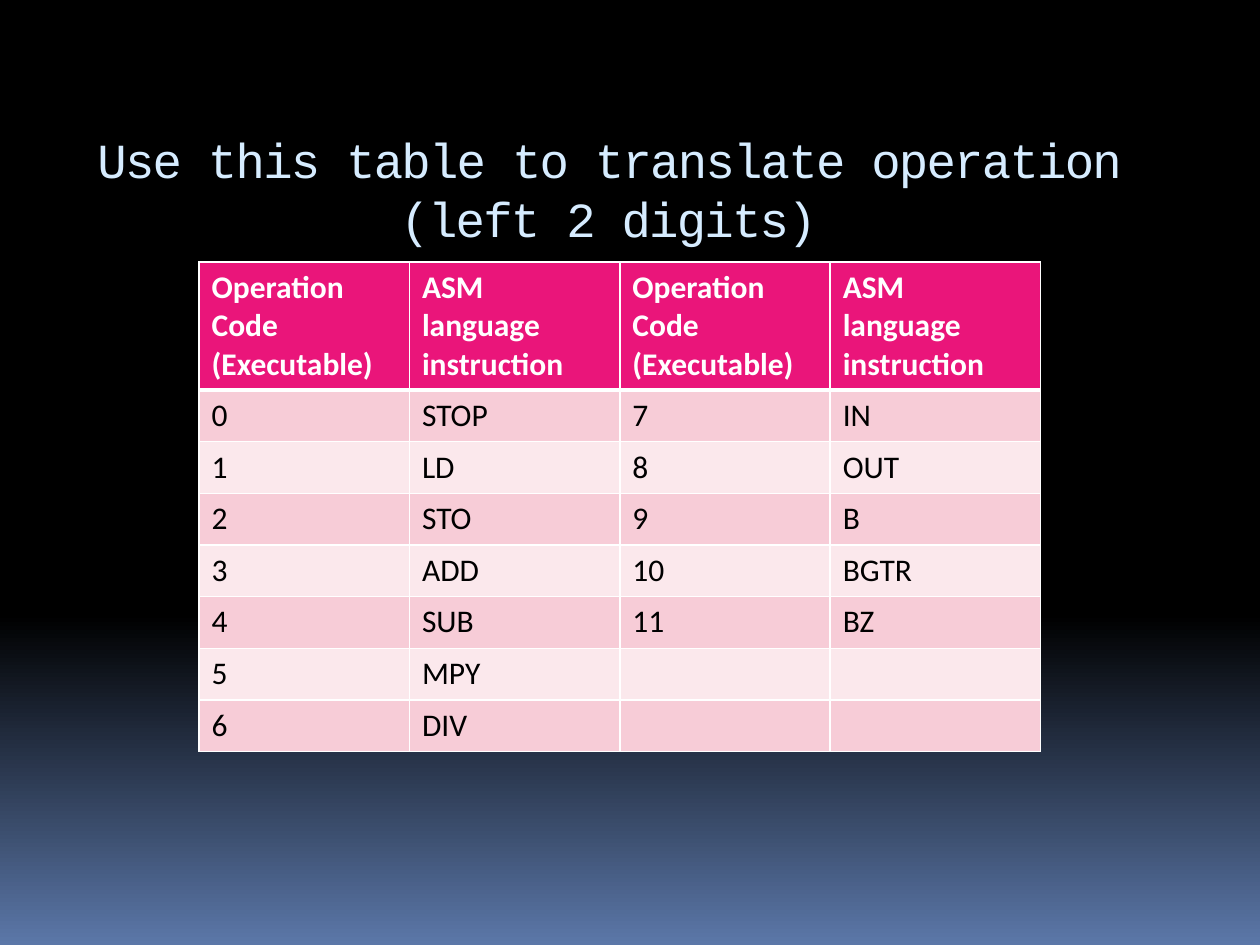
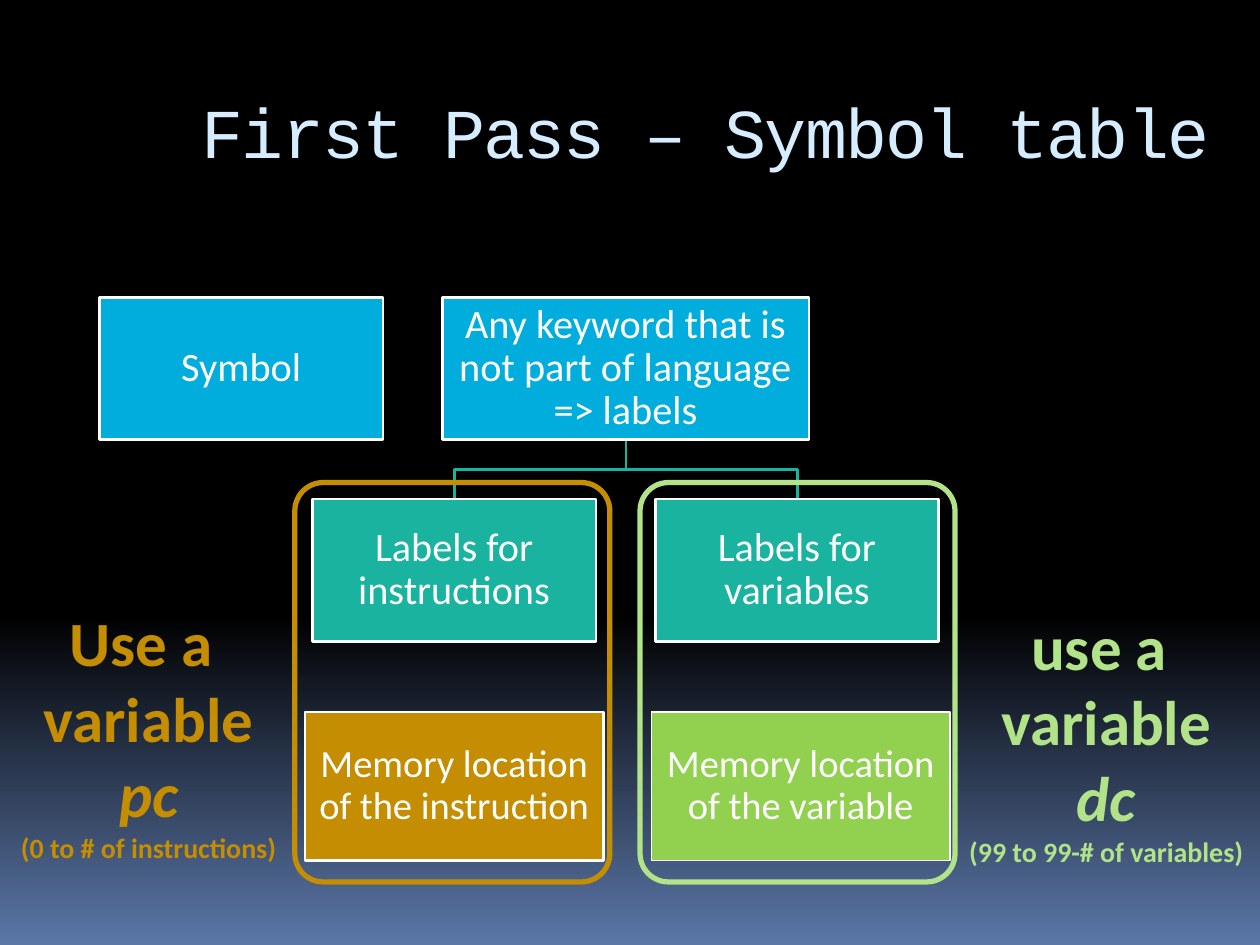
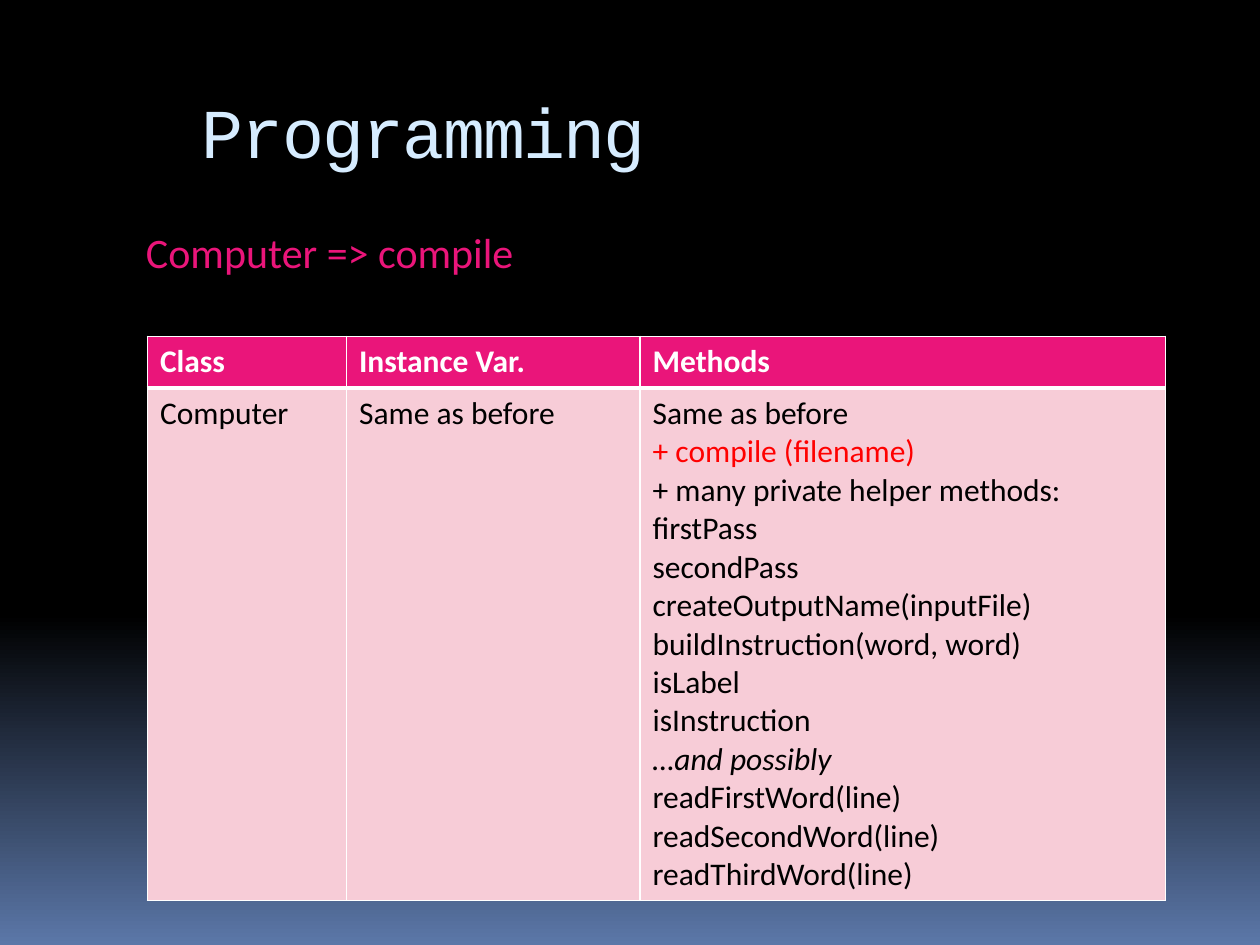
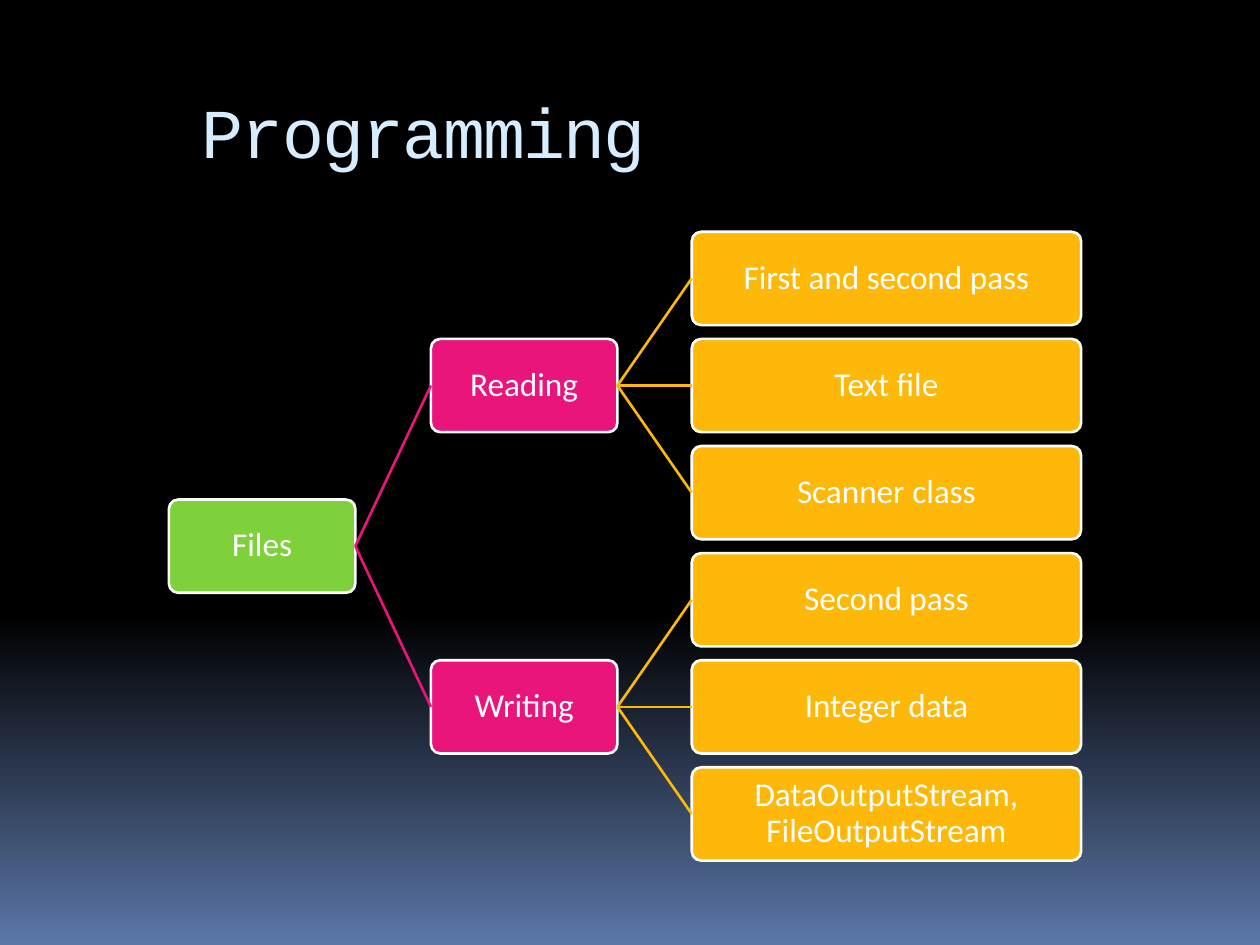
from copy import deepcopy
from dataclasses import dataclass
from typing import Any

from lxml.etree import SubElement
from pptx import Presentation
from pptx.dml.color import RGBColor
from pptx.enum.shapes import MSO_CONNECTOR, MSO_SHAPE as SHAPE
from pptx.enum.text import MSO_ANCHOR as ANCHOR, MSO_AUTO_SIZE as AUTO, PP_ALIGN as ALIGN
from pptx.oxml.ns import qn
from pptx.util import Inches, Pt

# Colours
BLACK = RGBColor(0x00, 0x00, 0x00)
WHITE = RGBColor(0xFF, 0xFF, 0xFF)
RED = RGBColor(0xFF, 0x00, 0x00)
NIGHT_BLUE = RGBColor(0x5B, 0x77, 0xA8)
TITLE_BLUE = RGBColor(0xD6, 0xEC, 0xFF)
PINK = RGBColor(0xEA, 0x15, 0x7A)
ROW_DARK = RGBColor(0xF7, 0xCC, 0xD7)
ROW_LIGHT = RGBColor(0xFB, 0xE8, 0xEC)
CYAN = RGBColor(0x00, 0xAD, 0xDC)
TEAL = RGBColor(0x1A, 0xB3, 0x9F)
OCHRE = RGBColor(0xC5, 0x8D, 0x01)
LEAF_GREEN = RGBColor(0x92, 0xD0, 0x50)
PALE_GREEN = RGBColor(0xB2, 0xE3, 0x89)
GREEN = RGBColor(0x7F, 0xD1, 0x3B)
AMBER = RGBColor(0xFE, 0xB8, 0x0A)

# Text formats
BODY = {"name": "Calibri", "size": Pt(18), "color": BLACK}
HEADER = BODY | {"color": WHITE, "bold": True}
TITLE = {"name": "Courier New", "size": Pt(40), "color": TITLE_BLUE}
CAPTION = BODY | {"size": Pt(36), "bold": True}
LINE_ACCENTS = {
    "+ compile (filename)": {"color": RED},
    "…and possibly": {"italic": True},
    "pc": {"italic": True},
    "dc": {"italic": True},
    "(0 to # of instructions)": {"size": Pt(16)},
    "(99 to 99-# of variables)": {"size": Pt(16)},
}


@dataclass(frozen=True)
class Area:
    left: float
    top: float
    width: float
    height: float

    def emu(self) -> list[int]:
        return [Inches(v) for v in (self.left, self.top, self.width, self.height)]


@dataclass(frozen=True)
class Box:
    text: str
    area: Area
    fill: RGBColor
    size: float
    kind: SHAPE = SHAPE.RECTANGLE
    border: float = 1.5


@dataclass(frozen=True)
class Branch:
    text: str
    leaves: tuple[str, ...]


def format_font(font: Any, values: dict[str, Any]) -> None:
    for key, value in values.items():
        if key == "color":
            font.color.rgb = value
        else:
            setattr(font, key, value)


def write_lines(frame: Any, text: str, values: dict[str, Any], align: ALIGN = ALIGN.LEFT) -> None:
    """One paragraph per line; a vertical tab breaks within a paragraph."""
    for index, line in enumerate(text.split("\n")):
        paragraph = frame.paragraphs[0] if index == 0 else frame.add_paragraph()
        paragraph.text = line
        paragraph.alignment = align
        for run in paragraph.runs:
            format_font(run.font, values | LINE_ACCENTS.get(line, {}))


def set_background(master: Any) -> None:
    fill = master.background.fill
    fill.gradient()
    fill.gradient_angle = 270
    for stop, color, position in zip(fill.gradient_stops, (BLACK, NIGHT_BLUE), (0.65, 1)):
        stop.color.rgb = color
        stop.position = position
    stops = master.element.find(".//" + qn("a:gsLst"))
    first = deepcopy(stops[0])
    first.set("pos", "0")
    stops.insert(0, first)


def add_titled_slide(prs: Any, text: str, area: Area = Area(1.5, 0.56, 8.5, 1),
                     size: float = 40, align: ALIGN = ALIGN.LEFT) -> Any:
    slide = prs.slides.add_slide(prs.slide_layouts[5])
    title = slide.shapes.title
    title.left, title.top, title.width, title.height = area.emu()
    frame = title.text_frame
    for key, value in {"auto_size": AUTO.NONE, "word_wrap": True,
                       "vertical_anchor": ANCHOR.TOP, "margin_top": Inches(0.14)}.items():
        setattr(frame, key, value)
    write_lines(frame, text, TITLE | {"size": Pt(size)}, align)
    for run in frame.paragraphs[0].runs:
        run.font.size = Pt(size)
        run._r.get_or_add_rPr().set("spc", "-100")
    return slide


def add_border(cell: Any, side: str, width: float) -> None:
    line = SubElement(cell._tc.get_or_add_tcPr(), qn(f"a:ln{side}"), w=str(Pt(width)))
    solid = SubElement(line, qn("a:solidFill"))
    SubElement(solid, qn("a:srgbClr"), val=str(WHITE))


def add_banded_table(slide: Any, area: Area, widths: list[float], rows: list[list[str]]) -> None:
    table = slide.shapes.add_table(len(rows), len(widths), *area.emu()).table
    for column, width in zip(table.columns, widths):
        column.width = Inches(width)
    for r, texts in enumerate(rows):
        table.rows[r].height = Inches(0.41)
        for c, text in enumerate(texts):
            cell = table.cell(r, c)
            for side in "LRTB":
                thick = (r == 0 and side == "B") or (r == 1 and side == "T")
                add_border(cell, side, 3 if thick else 1)
            cell.fill.solid()
            cell.fill.fore_color.rgb = PINK if r == 0 else (ROW_LIGHT, ROW_DARK)[r % 2]
            write_lines(cell.text_frame, text, BODY if r else HEADER)


def add_box(slide: Any, box: Box) -> Any:
    shape = slide.shapes.add_shape(box.kind, *box.area.emu())
    shape.shadow.inherit = False
    shape.fill.solid()
    shape.fill.fore_color.rgb = box.fill
    shape.line.color.rgb = WHITE
    shape.line.width = Pt(box.border)
    if box.kind == SHAPE.ROUNDED_RECTANGLE:
        shape.adjustments[0] = 0.1
    frame = shape.text_frame
    frame.word_wrap = True
    frame.vertical_anchor = ANCHOR.MIDDLE
    for side in ("left", "right", "top", "bottom"):
        setattr(frame, f"margin_{side}", Inches(0.02))
    write_lines(frame, box.text, BODY | {"size": Pt(box.size), "color": WHITE}, ALIGN.CENTER)
    frame.paragraphs[0].line_spacing = 0.9
    return shape


def add_outline(slide: Any, area: Area, color: RGBColor, corner: float) -> None:
    outline = slide.shapes.add_shape(SHAPE.ROUNDED_RECTANGLE, *area.emu())
    outline.adjustments[0] = corner
    outline.shadow.inherit = False
    outline.fill.background()
    outline.line.color.rgb = color
    outline.line.width = Pt(3)


def add_tree_line(slide: Any, start: tuple[float, float], end: tuple[float, float]) -> None:
    middle = (start[1] + end[1]) / 2
    points = [start, (start[0], middle), (end[0], middle), end]
    corners = [(Inches(x), Inches(y)) for x, y in points]
    builder = slide.shapes.build_freeform(*corners[0])
    builder.add_line_segments(corners[1:], close=False)
    elbow = builder.convert_to_shape()
    elbow.shadow.inherit = False
    elbow.fill.background()
    elbow.line.color.rgb = TEAL
    elbow.line.width = Pt(1.5)


def join(slide: Any, parent: Any, child: Any, color: RGBColor) -> None:
    link = slide.shapes.add_connector(MSO_CONNECTOR.STRAIGHT, 0, 0, 0, 0)
    link.begin_connect(parent, 3)
    link.end_connect(child, 1)
    link.line.color.rgb = color
    link.line.width = Pt(1.5)
    SubElement(link._element.spPr, qn("a:effectLst"))


def add_caption(slide: Any, area: Area, text: str, values: dict[str, Any],
                align: ALIGN = ALIGN.CENTER) -> None:
    caption = slide.shapes.add_textbox(*area.emu())
    caption.text_frame.word_wrap = False
    caption.text_frame.auto_size = AUTO.SHAPE_TO_FIT_TEXT
    write_lines(caption.text_frame, text, values, align)


def build_operation_codes(prs: Any) -> None:
    slide = add_titled_slide(prs, "Use this table to translate operation (left 2 digits)",
                             Area(0.58, 0.89, 8.5, 1.52), 28, ALIGN.CENTER)
    instructions = "STOP LD STO ADD SUB MPY DIV IN OUT B BGTR BZ".split()
    codes = [[str(code), name] for code, name in enumerate(instructions)]
    half = 7
    right = codes[half:] + [["", ""]] * (2 * half - len(codes))
    header = ["Operation Code\n(Executable)", "ASM language instruction"] * 2
    rows = [header] + [a + b for a, b in zip(codes[:half], right)]
    add_banded_table(slide, Area(1.58, 2.08, 6.67, 3.84), [1.67] * 4, rows)


def build_symbol_table(prs: Any) -> None:
    slide = add_titled_slide(prs, "First Pass – Symbol table")
    # Tree of symbols
    for child_center in (6.33, 3.61):
        add_tree_line(slide, (4.97, 3.49), (child_center, 3.96))
    boxes = [
        Box("Symbol", Area(0.79, 2.36, 2.25, 1.13), CYAN, 23),
        Box("Any keyword that is not part of language => labels",
            Area(3.51, 2.36, 2.91, 1.13), CYAN, 23),
        Box("Labels for instructions", Area(2.48, 3.96, 2.25, 1.13), TEAL, 23),
        Box("Labels for variables", Area(5.2, 3.96, 2.25, 1.13), TEAL, 23),
        Box("Memory location of the instruction", Area(2.42, 5.65, 2.37, 1.18), OCHRE, 22),
        Box("Memory location of the variable", Area(5.17, 5.65, 2.37, 1.18), LEAF_GREEN, 22,
            border=0.75),
    ]
    for box in boxes:
        add_box(slide, box)
    # Frames and their counters
    add_outline(slide, Area(2.34, 3.83, 2.5, 3.17), OCHRE, 0.09)
    add_outline(slide, Area(5.08, 3.83, 2.5, 3.17), PALE_GREEN, 0.09)
    add_caption(slide, Area(0.01, 4.74, 2.34, 2.19),
                "Use a \vvariable\npc\n(0 to # of instructions)", CAPTION | {"color": OCHRE})
    add_caption(slide, Area(7.52, 4.77, 2.52, 2.79),
                "use a \nvariable\ndc\n(99 to 99-# of variables)", CAPTION | {"color": PALE_GREEN})


def build_class_methods(prs: Any) -> None:
    slide = add_titled_slide(prs, "Programming")
    methods = "\n".join([
        "Same as before", "+ compile (filename)", "+ many private helper methods:",
        "firstPass", "secondPass", "createOutputName(inputFile)",
        "buildInstruction(word, word)", "isLabel", "isInstruction", "…and possibly",
        "readFirstWord(line)", "readSecondWord(line)", "readThirdWord(line)",
    ])
    add_banded_table(slide, Area(1.17, 2.67, 8.08, 4.41), [1.58, 2.33, 4.17], [
        ["Class", "Instance Var.", "Methods"],
        ["Computer", "Same as before", methods],
    ])
    add_caption(slide, Area(1.06, 1.75, 3.19, 0.5), "Computer => compile",
                BODY | {"size": Pt(24), "color": PINK}, ALIGN.LEFT)


def build_file_tree(prs: Any) -> None:
    slide = add_titled_slide(prs, "Programming")
    branches = [
        Branch("Reading", ("First and second pass", "Text file", "Scanner class")),
        Branch("Writing", ("Second pass", "Integer data", "DataOutputStream, FileOutputStream")),
    ]
    first_top, pitch, height = 1.84, 0.85, 0.74

    def add_node(text: str, left: float, row: float, width: float, fill: RGBColor) -> Any:
        area = Area(left, first_top + row * pitch, width, height)
        return add_box(slide, Box(text, area, fill, 19, SHAPE.ROUNDED_RECTANGLE))

    files = add_node("Files", 1.34, 2.5, 1.48, GREEN)
    for b, branch in enumerate(branches):
        first_row = b * len(branch.leaves)
        direction = add_node(branch.text, 3.42, first_row + 1, 1.48, PINK)
        join(slide, files, direction, PINK)
        for row, text in enumerate(branch.leaves, first_row):
            leaf = add_node(text, 5.49, row, 3.09, AMBER)
            join(slide, direction, leaf, AMBER)


def main() -> None:
    prs = Presentation()
    prs.slide_width, prs.slide_height = Inches(10), Inches(7.5)
    set_background(prs.slide_master)
    for build in (build_operation_codes, build_symbol_table, build_class_methods, build_file_tree):
        build(prs)
    prs.save("out.pptx")


if __name__ == "__main__":
    main()
